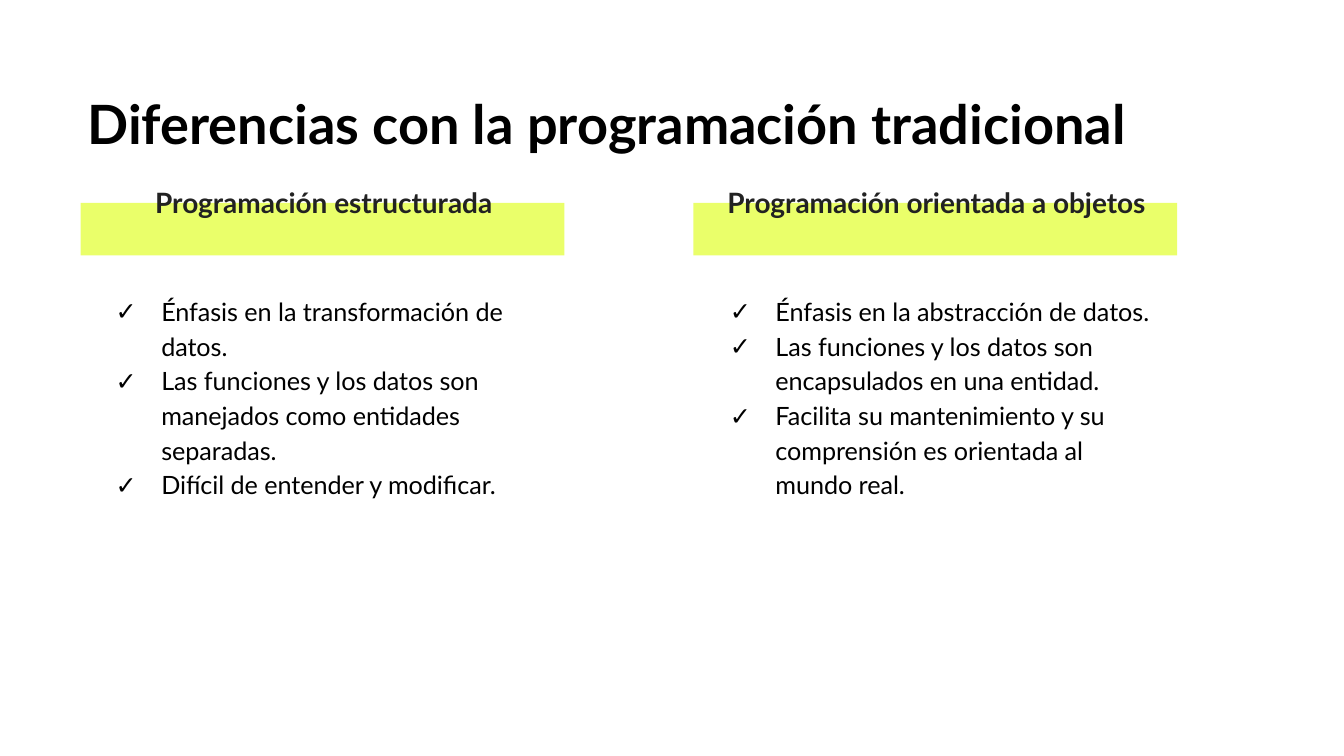
import pptx
import pptx.util
import pptx.dml.color
import pptx.enum.shapes
import pptx.enum.text
import lxml.etree

PX = 4572
COLORS = {"title": "000000", "heading": "222222", "band": "EAFF6A", "list": "000000"}
FONT = "Lato"
LEFT = pptx.enum.text.PP_ALIGN.LEFT
CENTER = pptx.enum.text.PP_ALIGN.CENTER


def place(holder, left, top, width, height):
    holder.left, holder.top = left * PX, top * PX
    holder.width, holder.height = width * PX, height * PX


def write(holder, lines, size, color, bold, align, spacing, check=False):
    frame = holder.text_frame
    frame.text = "\n".join(lines)
    frame.word_wrap = True
    frame.auto_size = pptx.enum.text.MSO_AUTO_SIZE.NONE
    frame.vertical_anchor = pptx.enum.text.MSO_ANCHOR.TOP
    frame.margin_left = frame.margin_right = 20 * PX
    frame.margin_top = frame.margin_bottom = 20 * PX
    for paragraph in frame.paragraphs:
        paragraph.alignment = align
        paragraph.line_spacing = spacing
        paragraph.space_before = pptx.util.Pt(0)
        if check:
            props = paragraph._p.get_or_add_pPr()
            props.set("marL", str(100 * PX))
            props.set("indent", str(-68 * PX))
            tint = lxml.etree.SubElement(props, pptx.oxml.ns.qn("a:buClr"))
            lxml.etree.SubElement(tint, pptx.oxml.ns.qn("a:srgbClr"), val=COLORS[color])
            lxml.etree.SubElement(props, pptx.oxml.ns.qn("a:buFont"), typeface=FONT)
            lxml.etree.SubElement(props, pptx.oxml.ns.qn("a:buChar"), char="✓")
        for run in paragraph.runs:
            run.font.name = FONT
            run.font.size = pptx.util.Pt(size)
            run.font.bold = bold
            run.font.color.rgb = pptx.dml.color.RGBColor.from_string(COLORS[color])


deck = pptx.Presentation()
deck.slide_width, deck.slide_height = 2000 * PX, 1125 * PX
slide = deck.slides.add_slide(deck.slide_layouts.get_by_name("Comparison"))

title = slide.shapes.title
place(title, 110, 126, 1780, 128)
write(title, ["Diferencias con la programación tradicional"], 29, "title", True, LEFT, 0.9)

paradigms = [
    (120, 120, 348, 1, 2, "Programación estructurada", [
        "Énfasis en la transformación de datos.",
        "Las funciones y los datos son manejados como entidades separadas.",
        "Difícil de entender y modificar.",
    ]),
    (1032, 1034, 400, 3, 4, "Programación orientada a objetos", [
        "Énfasis en la abstracción de datos.",
        "Las funciones y los datos son encapsulados en una entidad.",
        "Facilita su mantenimiento y su comprensión es orientada al mundo real.",
    ]),
]

for band_left, traits_left, traits_height, heading_idx, traits_idx, name, traits in paradigms:
    heading = slide.placeholders[heading_idx]
    place(heading, band_left - 16, 262, 756, 86)
    write(heading, [name], 15, "heading", True, CENTER, 0.9)

    band = slide.shapes.add_shape(
        pptx.enum.shapes.MSO_SHAPE.RECTANGLE, band_left * PX, 302 * PX, 720 * PX, 78 * PX)
    band.shadow.inherit = False
    band.fill.solid()
    band.fill.fore_color.rgb = pptx.dml.color.RGBColor.from_string(COLORS["band"])
    band.line.fill.background()
    heading.element.addprevious(band.element)

    trait_list = slide.placeholders[traits_idx]
    place(trait_list, traits_left, 414, 720, traits_height)
    write(trait_list, traits, 13.5, "list", False, LEFT, 1.15, check=True)

deck.save("out.pptx")
